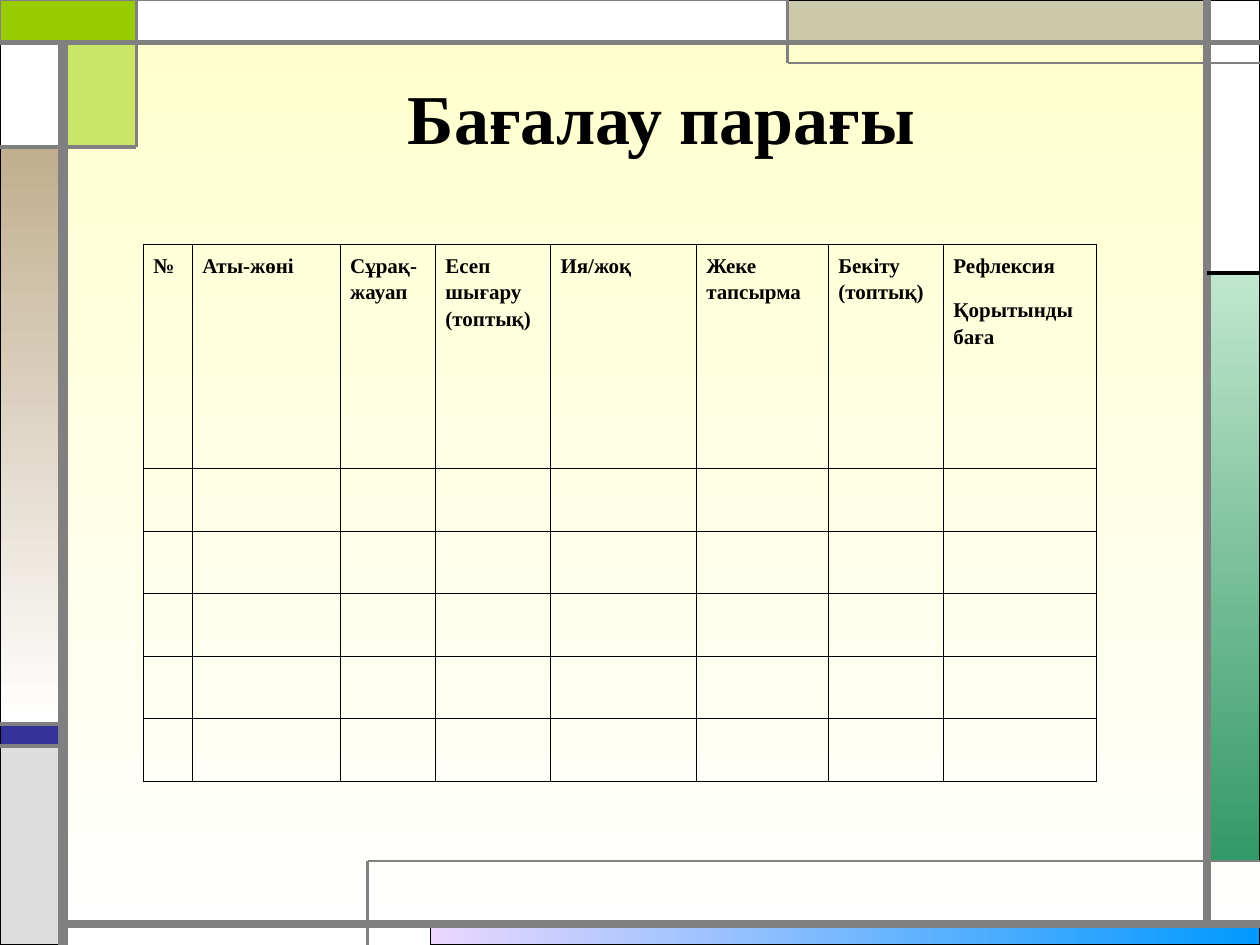
import pptx
import pptx.util
import pptx.dml.color
import pptx.enum.shapes
import pptx.enum.text
import pptx.oxml.ns
import lxml.etree

Cm = pptx.util.Cm
Pt = pptx.util.Pt
qn = pptx.oxml.ns.qn
rgb = pptx.dml.color.RGBColor.from_string

theme = {
    "font": "Times New Roman", "title_size": 40, "cell_size": 12,
    "ink": "000000", "rule": "808080", "white": "FFFFFF", "cream": "FFFFCC",
    "green": "99CC00", "indigo": "333399", "silver": "DDDDDD", "khaki": "CAC9AA",
    "lilac": "EBD7FF", "azure": "0099FF", "mint": "C1E7CE", "emerald": "339966",
    "tan": "C1AE8F",
}


def paint(fill, colours, angle=0):
    """Fill with one colour, or with a gradient between two."""
    if len(colours) == 1:
        fill.solid()
        fill.fore_color.rgb = rgb(theme[colours[0]])
        return
    fill.gradient()
    fill.gradient_angle = angle
    for stop, colour in zip(fill.gradient_stops, colours):
        stop.color.rgb = rgb(theme[colour])


def write(para, text, size, **layout):
    """Put bold text in a paragraph and apply its layout values."""
    span = para.add_run()
    span.text = text
    for name, value in {"name": theme["font"], "size": Pt(size), "bold": True}.items():
        setattr(span.font, name, value)
    span.font.color.rgb = rgb(theme["ink"])
    for name, value in layout.items():
        setattr(para, name, value)


deck = pptx.Presentation()
deck.slide_width, deck.slide_height = Cm(25.4), Cm(19.05)
page = deck.slides.add_slide(deck.slide_layouts[6])
DOWN = 270  # gradient angle, counter-clockwise
paint(page.background.fill, ["cream", "white"], DOWN)

# Guides shared by the frame panels and rules
right, bottom = 25.4, 19.05
x_left, x_tab, x_box, x_base, x_top, x_right = 1.27, 2.75, 7.41, 8.68, 15.88, 24.34
y_top, y_drop, y_tab, y_side = 0.85, 1.27, 2.96, 5.5
y_band, y_grey, y_box, y_base = 14.6, 15.03, 17.36, 18.63

# Frame panels: left, top, right, bottom, colours, line colour, line width
panels = [
    (x_base, y_base, right, bottom, ["lilac", "azure"], "ink", 0.75),
    (x_right, y_side, right, y_box, ["mint", "emerald"], "ink", 0.75),
    (0, y_band, x_left, y_grey, ["indigo"], "ink", 0.75),
    (0, y_grey, x_left, bottom, ["silver"], "ink", 0.75),
    (x_right, 0, right, y_side, ["white"], "ink", 0.75),
    (x_top, 0, x_right, y_top, ["khaki"], "ink", 0.75),
    (x_left, y_top, x_tab, y_tab, ["green"], "ink", 0.75),
    (0, y_tab, x_left, y_band, ["tan", "white"], "ink", 0.75),
    (0, y_top, x_left, y_tab, ["white"], "ink", 0.75),
    (0, 0, x_tab, y_top, ["green"], "rule", 1.5),
    (x_tab, 0, x_top, y_top, ["white"], "rule", 0.75),
]
for x1, y1, x2, y2, colours, line, width in panels:
    panel = page.shapes.add_shape(pptx.enum.shapes.MSO_SHAPE.RECTANGLE,
                                  Cm(x1), Cm(y1), Cm(x2 - x1), Cm(y2 - y1))
    panel.shadow.inherit = False
    paint(panel.fill, colours, 0 if y1 == y_base else DOWN)
    panel.line.color.rgb = rgb(theme[line])
    panel.line.width = Pt(width)
    if (x1, y1) == (x_left, y_top):  # half-transparent corner panel
        colour = panel.fill._xPr.find(qn("a:solidFill")).find(qn("a:srgbClr"))
        lxml.etree.SubElement(colour, qn("a:alpha"), val="50000")

# Frame rules: start, end, colour, width
rules = [
    (x_left, bottom, x_left, y_top, "rule", 6),
    (x_left, y_base, right, y_base, "rule", 4.5),
    (x_right, y_base, x_right, 0, "rule", 4.5),
    (0, y_top, right, y_top, "rule", 3),
    (right, y_drop, x_top, y_drop, "rule", 1.5),
    (x_top, y_drop, x_top, 0, "rule", 1.5),
    (x_right, y_side, right, y_side, "ink", 2.25),
    (x_tab, 0, x_tab, y_tab, "rule", 1.5),
    (x_tab, y_tab, 0, y_tab, "rule", 2.25),
    (x_box, bottom, x_box, y_box, "rule", 1.5),
    (x_box, y_box, right, y_box, "rule", 1.5),
    (x_left, y_band, 0, y_band, "rule", 2.25),
    (x_left, y_grey, 0, y_grey, "rule", 2.25),
]
for x1, y1, x2, y2, colour, width in rules:
    rule = page.shapes.add_connector(pptx.enum.shapes.MSO_CONNECTOR.STRAIGHT,
                                     Cm(x1), Cm(y1), Cm(x2), Cm(y2))
    rule.line.color.rgb = rgb(theme[colour])
    rule.line.width = Pt(width)
    lxml.etree.SubElement(rule._element.spPr, qn("a:effectLst"))

# Title
title = page.shapes.add_textbox(Cm(2.54), Cm(0.76), Cm(21.59), Cm(3.18)).text_frame
title.word_wrap = True
title.vertical_anchor = pptx.enum.text.MSO_ANCHOR.MIDDLE
write(title.paragraphs[0], "Бағалау парағы", theme["title_size"],
      alignment=pptx.enum.text.PP_ALIGN.CENTER)

# Score sheet: one heading row above five empty rows
columns = [
    ("№", 0.99), ("Аты-жөні", 2.98), ("Сұрақ-жауап", 1.92),
    ("Есеп шығару (топтық)", 2.32), ("Ия/жоқ", 2.94), ("Жеке тапсырма", 2.66),
    ("Бекіту (топтық)", 2.32), ("Рефлексия\nҚорытынды баға", 3.08),
]
heights = [4.52] + [1.26] * 5
table = page.shapes.add_table(len(heights), len(columns), Cm(2.89), Cm(4.93),
                              Cm(sum(width for _, width in columns)),
                              Cm(sum(heights))).table
table.first_row = table.horz_banding = False
for row, height in zip(table.rows, heights):
    row.height = Cm(height)
for column, (_, width) in zip(table.columns, columns):
    column.width = Cm(width)

for cell in table.iter_cells():
    cell.margin_left = cell.margin_right = Cm(0.2)
    properties = cell._tc.get_or_add_tcPr()
    for side in ("a:lnL", "a:lnR", "a:lnT", "a:lnB"):
        border = lxml.etree.SubElement(properties, qn(side), w=str(Pt(0.45)))
        solid = lxml.etree.SubElement(border, qn("a:solidFill"))
        lxml.etree.SubElement(solid, qn("a:srgbClr"), val=theme["ink"])
    cell.fill.background()

for index, (heading, _) in enumerate(columns):
    frame = table.cell(0, index).text_frame
    for number, text in enumerate(heading.split("\n")):
        para = frame.add_paragraph() if number else frame.paragraphs[0]
        write(para, text, theme["cell_size"], line_spacing=1.15, space_after=Pt(10))

deck.save("out.pptx")
